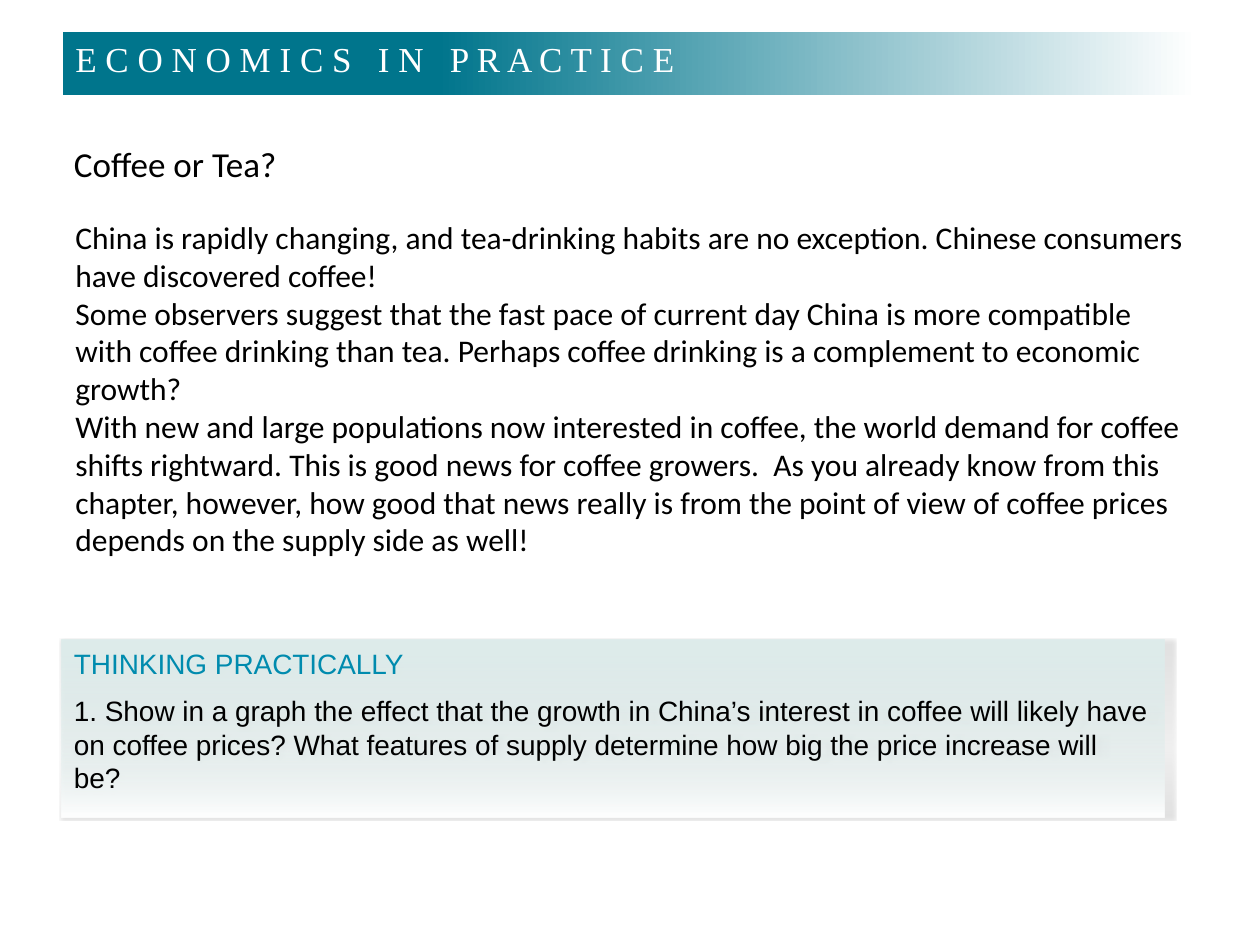
"""Build the Economics in Practice slide about coffee and tea."""
from lxml.etree import SubElement
from pptx import Presentation
from pptx.dml.color import RGBColor
from pptx.enum.shapes import MSO_SHAPE
from pptx.enum.text import MSO_ANCHOR, PP_ALIGN
from pptx.oxml import parse_xml
from pptx.oxml.ns import nsdecls, qn
from pptx.util import Cm, Pt

COLORS = {"banner": "00758C", "panel": "DDECEB", "heading": "008BAE",
          "black": "000000", "white": "FFFFFF", "shadow": "333333"}

BANNER = [("E C O N O M I C S   I N   P R A C T I C E", "white")]
TITLE = [("Coffee or Tea?", "black")]
BODY = [
    ("China is rapidly changing, and tea-drinking habits are no exception. "
     "Chinese consumers have discovered coffee!", "black"),
    ("Some observers suggest that the fast pace of current day China is more "
     "compatible with coffee drinking than tea. Perhaps coffee drinking is a "
     "complement to economic growth?", "black"),
    ("With new and large populations now interested in coffee, the world demand "
     "for coffee shifts rightward. This is good news for coffee growers.  As you "
     "already know from this chapter, however, how good that news really is from "
     "the point of view of coffee prices depends on the supply side as well!", "black"),
]
QUESTION = [
    ("THINKING PRACTICALLY", "heading"),
    ("1. Show in a graph the effect that the growth in China’s interest in coffee "
     "will likely have on coffee prices? What features of supply determine how big "
     "the price increase will be?", "black"),
]
BANNER_STOPS = [(0, "banner", 100), (33, "banner", 100), (100, "white", 100)]
PANEL_STOPS = [(0, "panel", 100), (60, "panel", 50), (100, "white", 100)]


def write(shape, paragraphs, font, size, gap=0):
    frame = shape.text_frame
    frame.word_wrap = True
    frame.vertical_anchor = MSO_ANCHOR.TOP
    for index, (text, color) in enumerate(paragraphs):
        paragraph = frame.add_paragraph() if index else frame.paragraphs[0]
        paragraph.alignment = PP_ALIGN.LEFT
        paragraph.space_before = Pt(gap if index else 0)
        run = paragraph.add_run()
        run.text = text
        run.font.name = font
        run.font.size = Pt(size)
        run.font.color.rgb = RGBColor.from_string(COLORS[color])


def add_text(slide, box, paragraphs, font, size):
    write(slide.shapes.add_textbox(*map(Cm, box)), paragraphs, font, size)


def add_panel(slide, box, stops, angle):
    shape = slide.shapes.add_shape(MSO_SHAPE.RECTANGLE, *map(Cm, box))
    shape.shadow.inherit = False
    shape.line.fill.background()
    gradient = parse_xml(f'<a:gradFill {nsdecls("a")} rotWithShape="1"><a:gsLst/>'
                         f'<a:lin ang="{angle * 60000}" scaled="0"/></a:gradFill>')
    for position, color, opacity in stops:
        stop = SubElement(gradient[0], qn("a:gs"), pos=str(position * 1000))
        fill = SubElement(stop, qn("a:srgbClr"), val=COLORS[color])
        if opacity < 100:
            SubElement(fill, qn("a:alpha"), val=str(opacity * 1000))
    shape._element.spPr.find(qn("a:prstGeom")).addnext(gradient)
    return shape


def add_shadow(shape):
    effects = shape._element.spPr.find(qn("a:effectLst"))
    shadow = SubElement(effects, qn("a:outerShdw"), blurRad=str(Pt(1)), dist="0", dir="0",
                        sx="101000", sy="101000", algn="tl", rotWithShape="0")
    color = SubElement(shadow, qn("a:srgbClr"), val=COLORS["shadow"])
    SubElement(color, qn("a:alpha"), val="14000")


presentation = Presentation()
presentation.slide_width, presentation.slide_height = Cm(25.4), Cm(19.05)
slide = presentation.slides.add_slide(presentation.slide_layouts[6])

banner = add_panel(slide, (1.27, 0.64, 22.86, 1.27), BANNER_STOPS, 0)
write(banner, BANNER, "Times New Roman", 20)
add_text(slide, (1.24, 2.74, 12.7, 1.12), TITLE, "Calibri", 20)
question = add_panel(slide, (1.24, 12.9, 22.23, 3.58), PANEL_STOPS, 90)
add_shadow(question)
write(question, QUESTION, "Arial", 16, gap=8)
add_text(slide, (1.27, 4.27, 22.86, 7.49), BODY, "Calibri", 18)

presentation.save("out.pptx")
